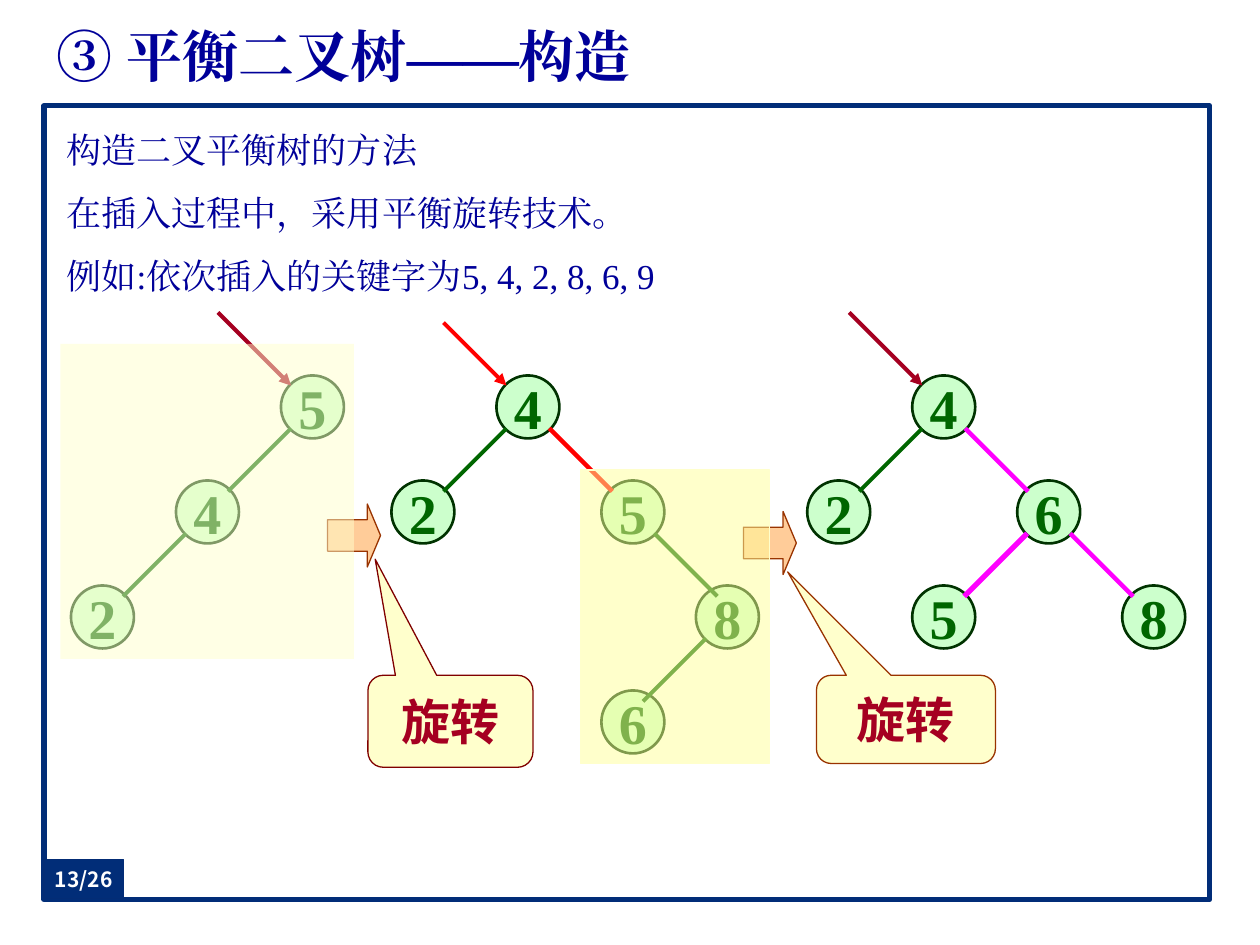
from lxml import etree
from pptx import Presentation
from pptx.dml.color import RGBColor
from pptx.enum import shapes, text
from pptx.oxml.ns import qn
from pptx.util import Inches, Pt

SERIF, SANS = "Times New Roman", "Noto Sans CJK SC"
NAVY, NAVY_EDGE = RGBColor(0x01, 0x2D, 0x78), RGBColor(0x03, 0x2C, 0x75)
BLUE, WHITE = RGBColor(0x00, 0x00, 0x99), RGBColor(0xFF, 0xFF, 0xFF)
MINT, DARK_GREEN = RGBColor(0xCC, 0xFF, 0xCC), RGBColor(0x00, 0x33, 0x00)
GREEN, RED = RGBColor(0x00, 0x66, 0x00), RGBColor(0xFF, 0x00, 0x00)
CRIMSON, MAGENTA = RGBColor(0xA5, 0x00, 0x21), RGBColor(0xFF, 0x00, 0xFF)
PEACH, BROWN = RGBColor(0xFF, 0xCC, 0x99), RGBColor(0x99, 0x33, 0x00)
CREAM, YELLOW = RGBColor(0xFF, 0xFF, 0xCC), RGBColor(0xFF, 0xFF, 0x99)
MAROON = RGBColor(0x80, 0x00, 0x00)

TITLE = "③ 平衡二叉树——构造"
BODY = ["构造二叉平衡树的方法", "在插入过程中，采用平衡旋转技术。",
        "例如:依次插入的关键字为5, 4, 2, 8, 6, 9"]

# Node places are (column, row) steps from the root;
# edges are parent key, direction (-1 left, 1 right), colour, width
TREES = [
    {"left": 2.23, "entry": (0.58, CRIMSON),
     "nodes": {"5": (0, 0), "4": (-1, 1), "2": (-2, 2)},
     "edges": [("5", -1, GREEN, 2.25), ("4", -1, GREEN, 2.25)]},
    {"left": 3.94, "entry": (0.5, RED),
     "nodes": {"4": (0, 0), "2": (-1, 1), "5": (1, 1), "8": (1.9, 2), "6": (1, 3)},
     "edges": [("4", -1, GREEN, 2.25), ("4", 1, RED, 2.5),
               ("5", 1, GREEN, 2.25), ("8", -1, GREEN, 2.25)]},
    {"left": 7.24, "entry": (0.58, CRIMSON),
     "nodes": {"4": (0, 0), "2": (-1, 1), "6": (1, 1), "5": (0, 2), "8": (2, 2)},
     "edges": [("4", -1, GREEN, 2.25), ("4", 1, MAGENTA, 2.5),
               ("6", -1, MAGENTA, 3), ("6", 1, MAGENTA, 2.5)]},
]
ROOT_TOP, STEP, NODE = 2.98, 5 / 6, 0.5
CORNER = 0.17  # centre of a node to its edge ends, along each axis
EDGE = 0.5     # run of an edge, along each axis

ROTATION_ARROWS = [(2.6, 4, 0.42, 0.5), (5.9, 4.06, 0.42, 0.5)]
VEILS = [((0.48, 2.73, 2.33, 2.5), CREAM, None),
         ((4.61, 3.73, 1.5, 2.33), YELLOW, CREAM)]
CALLOUTS = [((2.92, 5.36, 1.31, 0.73), (-0.456, -1.763, 0.167), MAROON),
            ((6.48, 5.36, 1.42, 0.7), (-0.661, -1.673, 0.167), BROWN)]

presentation = Presentation()
presentation.slide_width, presentation.slide_height = Inches(10), Inches(7.5)
slide = presentation.slides.add_slide(presentation.slide_layouts[6])
KIND = shapes.MSO_SHAPE


def style_text(shape, lines, size, color, font=SERIF, bold=False,
               align=text.PP_ALIGN.CENTER, anchor=text.MSO_ANCHOR.MIDDLE,
               wrap=True, inset=None):
    frame = shape.text_frame
    frame.text = "\n".join(lines)
    frame.word_wrap = wrap
    frame.vertical_anchor = anchor
    if inset is not None:
        frame.margin_left = frame.margin_right = Inches(inset)
        frame.margin_top = frame.margin_bottom = Inches(inset)
    for paragraph in frame.paragraphs:
        paragraph.alignment = align
        for run in paragraph.runs:
            run.font.name, run.font.size, run.font.bold = font, Pt(size), bold
            run.font.color.rgb = color
            east_asian = etree.SubElement(run.font._element, qn("a:ea"))
            east_asian.set("typeface", font)
    return frame


def add_box(kind, box, fill, line=None, width=0.75, adjustments=()):
    shape = slide.shapes.add_shape(kind, *map(Inches, box))
    shape.shadow.inherit = False
    shape.fill.solid()
    shape.fill.fore_color.rgb = fill
    if line is None:
        shape.line.fill.background()
    else:
        shape.line.color.rgb = line
        shape.line.width = Pt(width)
    for index, value in enumerate(adjustments):
        shape.adjustments[index] = value
    return shape


def add_line(start, end, color, width, arrow=False):
    line = slide.shapes.add_connector(shapes.MSO_CONNECTOR.STRAIGHT,
                                      *map(Inches, start + end))
    line.line.color.rgb = color
    line.line.width = Pt(width)
    if arrow:
        etree.SubElement(line.line._get_or_add_ln(), qn("a:tailEnd"), type="triangle")
    etree.SubElement(line._element.spPr, qn("a:effectLst"))


def add_tree(tree):
    centres = {key: (tree["left"] + NODE / 2 + column * STEP,
                     ROOT_TOP + NODE / 2 + row * STEP)
               for key, (column, row) in tree["nodes"].items()}
    for key, (x, y) in centres.items():
        node = add_box(KIND.OVAL, (x - NODE / 2, y - NODE / 2, NODE, NODE),
                       MINT, DARK_GREEN, 1.5)
        style_text(node, [key], 32, GREEN, bold=True, wrap=False)
    for parent, side, color, width in tree["edges"]:
        x, y = centres[parent]
        x, y = x + side * CORNER, y + CORNER
        add_line((x, y), (x + side * EDGE, y + EDGE), color, width)
    # Arrow pointing at the root
    length, color = tree["entry"]
    x, y = tree["left"] + NODE / 2 - CORNER, ROOT_TOP + NODE / 2 - CORNER
    add_line((x - length, y - length), (x, y), color, 2.25, arrow=True)


# Frame, title and body text
add_box(KIND.RECTANGLE, (0.35, 0.84, 9.25, 6.3), WHITE, NAVY, 3)
title = slide.shapes.add_textbox(*map(Inches, (0.35, 0.13, 9.25, 0.62)))
style_text(title, [TITLE], 32, BLUE, bold=True, align=text.PP_ALIGN.JUSTIFY)
body = slide.shapes.add_textbox(*map(Inches, (0.43, 0.92, 9.06, 6.14)))
body_frame = style_text(body, BODY, 20, BLUE, align=text.PP_ALIGN.LEFT,
                        anchor=text.MSO_ANCHOR.TOP, inset=0.1)
for index, paragraph in enumerate(body_frame.paragraphs):
    paragraph.space_before = Pt(6 if index else 0)
    paragraph.space_after = Pt(6)

# Trees and the rotation arrows between them
for tree in TREES:
    add_tree(tree)
for box in ROTATION_ARROWS:
    add_box(KIND.RIGHT_ARROW, box, PEACH, BROWN, adjustments=(0.5, 0.25))

# Half-transparent veils over the unbalanced parts
for box, fill, line in VEILS:
    veil = add_box(KIND.RECTANGLE, box, fill, line)
    color = veil._element.spPr.find(qn("a:solidFill")).find(qn("a:srgbClr"))
    etree.SubElement(color, qn("a:alpha"), val="50000")

# Rotation callouts
for box, adjustments, line in CALLOUTS:
    callout = add_box(KIND.ROUNDED_RECTANGULAR_CALLOUT, box, CREAM, line,
                      adjustments=adjustments)
    style_text(callout, ["旋转"], 28, CRIMSON, SANS, bold=True, wrap=False)

# Page number
page = add_box(KIND.RECTANGLE, (0.35, 6.82, 0.63, 0.31), NAVY, NAVY_EDGE)
style_text(page, ["13/26"], 12, WHITE, SANS, bold=True, inset=0)

presentation.save("out.pptx")
